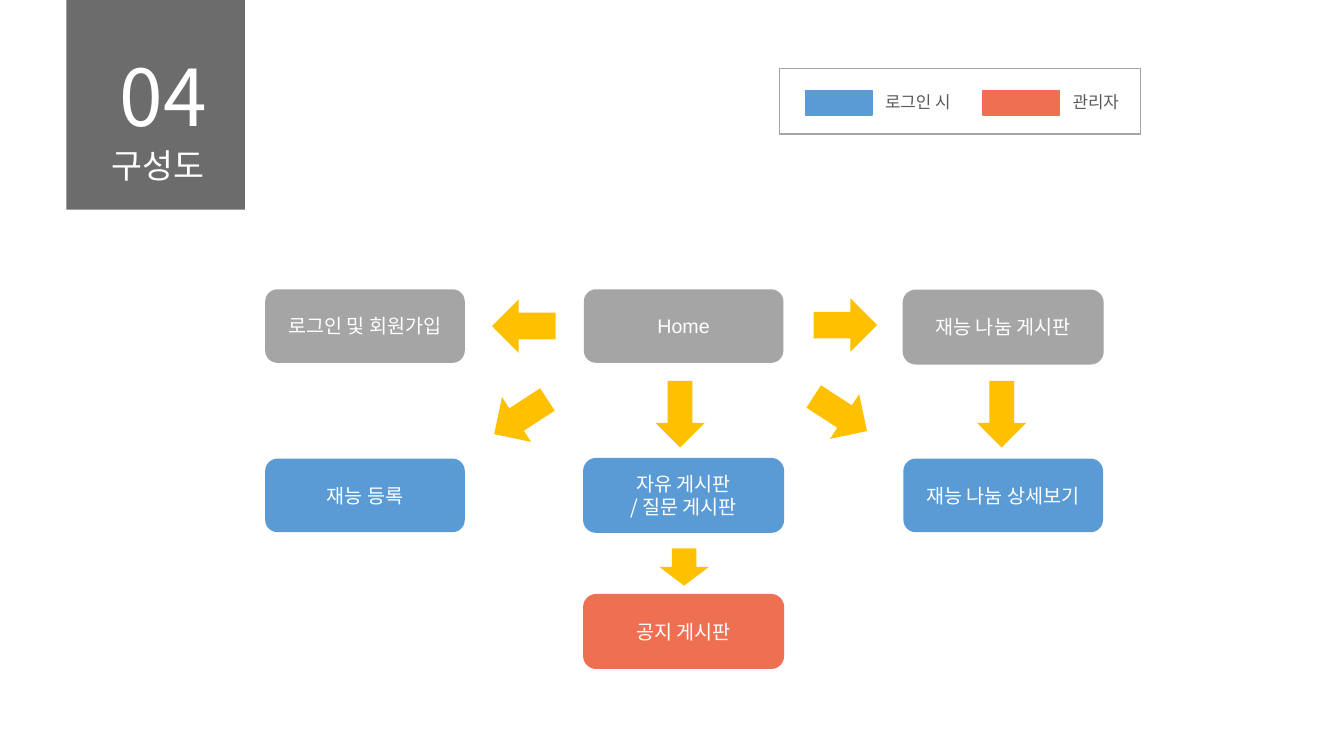
from dataclasses import dataclass

from lxml import etree
from pptx import Presentation
from pptx.dml.color import RGBColor
from pptx.enum.shapes import MSO_SHAPE
from pptx.enum.text import MSO_ANCHOR, PP_ALIGN
from pptx.oxml.ns import qn
from pptx.util import Inches, Pt

RECTANGLE = MSO_SHAPE.RECTANGLE
ROUNDED = MSO_SHAPE.FLOWCHART_ALTERNATE_PROCESS
DOWN_ARROW = MSO_SHAPE.DOWN_ARROW
TOP, MIDDLE = MSO_ANCHOR.TOP, MSO_ANCHOR.MIDDLE
LEFT, CENTER, RIGHT = PP_ALIGN.LEFT, PP_ALIGN.CENTER, PP_ALIGN.RIGHT


@dataclass(frozen=True)
class Theme:
    panel: str = "404040"
    panel_opacity: int = 77
    white: str = "FFFFFF"
    gray: str = "A5A5A5"
    blue: str = "5B9BD5"
    red: str = "EF6F52"
    yellow: str = "FFC000"
    label: str = "595959"
    font: str = "Noto Sans CJK KR"
    latin_font: str = "Arial"
    number_size: int = 56
    title_size: int = 24
    node_size: int = 14
    legend_size: int = 12


class SlideBuilder:
    def __init__(self, slide, theme):
        self.slide = slide
        self.theme = theme

    def place(self, shape, at):
        shape.left, shape.top, shape.width, shape.height = map(Inches, at)

    def fill_text(self, shape, text, size, color, align, anchor, font=None):
        frame = shape.text_frame
        frame.text = text
        frame.word_wrap = True
        frame.vertical_anchor = anchor
        for para in frame.paragraphs:
            para.alignment = align
            para.font.size = Pt(size)
            para.font.name = font or self.theme.font
            para.font.color.rgb = RGBColor.from_string(color)
            properties = para._p.pPr.find(qn("a:defRPr"))
            east_asian = etree.SubElement(properties, qn("a:ea"))
            east_asian.set("typeface", self.theme.font)

    def shape(self, kind, at, fill, line=None):
        shape = self.slide.shapes.add_shape(kind, *map(Inches, at))
        shape.shadow.inherit = False
        shape.fill.solid()
        shape.fill.fore_color.rgb = RGBColor.from_string(fill)
        if line:
            shape.line.color.rgb = RGBColor.from_string(line)
            shape.line.width = Pt(1)
        else:
            shape.line.fill.background()
        return shape

    def text(self, at, text, size, color, align=LEFT):
        box = self.slide.shapes.add_textbox(*map(Inches, at))
        self.fill_text(box, text, size, color, align, TOP)

    def title(self, at, text):
        title = self.slide.shapes.title
        self.place(title, at)
        self.fill_text(title, text, self.theme.title_size, self.theme.white, RIGHT, TOP)
        title.text_frame.margin_right = Inches(0.2)

    def panel(self, at):
        """Draw the translucent panel behind the title."""
        panel = self.shape(RECTANGLE, at, self.theme.panel)
        color = panel._element.spPr.find(qn("a:solidFill"))[0]
        alpha = etree.SubElement(color, qn("a:alpha"))
        alpha.set("val", str(self.theme.panel_opacity * 1000))
        self.slide.shapes.title._element.addprevious(panel._element)

    def legend_item(self, left, width, text, color):
        theme = self.theme
        self.shape(RECTANGLE, (left, 0.9, width, 0.24), color, color)
        self.text((left + width + 0.03, 0.86, 1.2, 0.3), text,
                  theme.legend_size, theme.label)

    def node(self, left, top, text, color, font, outlined):
        node = self.shape(ROUNDED, (left, top, 1.98, 0.73), color,
                          color if outlined else None)
        self.fill_text(node, text, self.theme.node_size, self.theme.white,
                       CENTER, MIDDLE, font)

    def arrow(self, at, rotation=0):
        self.shape(DOWN_ARROW, at, self.theme.yellow).rotation = rotation


def main():
    deck = Presentation()
    deck.slide_width, deck.slide_height = Inches(13.33), Inches(7.5)
    theme = Theme()
    page = SlideBuilder(deck.slides.add_slide(deck.slide_layouts[5]), theme)

    page.title((0.62, 1.39, 1.61, 0.5), "구성도")
    page.panel((0.66, -0.02, 1.77, 2.1))
    page.text((0.91, 0.43, 1.24, 1.04), "04", theme.number_size, theme.white, RIGHT)

    page.shape(RECTANGLE, (7.73, 0.68, 3.58, 0.65), theme.white, theme.gray)
    page.legend_item(7.99, 0.66, "로그인 시", theme.blue)
    page.legend_item(9.75, 0.76, "관리자", theme.red)

    left, middle, right = 2.63, 5.79, 8.96
    first, second, third = 2.87, 4.55, 5.9
    for column, row, text, color, font, outlined in (
        (middle, second, "자유 게시판\n/ 질문 게시판", theme.blue, theme.font, True),
        (right, first + 0.01, "재능 나눔 게시판", theme.gray, theme.font, True),
        (middle, first, "Home", theme.gray, theme.latin_font, False),
        (left, second, "재능 등록", theme.blue, theme.latin_font, False),
        (left, first, "로그인 및 회원가입", theme.gray, theme.latin_font, False),
        (right, second, "재능 나눔 상세보기", theme.blue, theme.latin_font, False),
        (middle, third, "공지 게시판", theme.red, theme.font, True),
    ):
        page.node(column, row, text, color, font, outlined)

    for x, y, rotation in ((8.12, 2.91, 270), (8.07, 3.79, 303),
                           (4.9, 3.82, 57), (4.93, 2.92, 90)):
        page.arrow((x, y, 0.53, 0.63), rotation)
    for x, y, height in ((6.5, 3.78, 0.66), (6.54, 5.44, 0.37), (9.69, 3.78, 0.66)):
        page.arrow((x, y, 0.49, height))

    deck.save("out.pptx")


if __name__ == "__main__":
    main()
